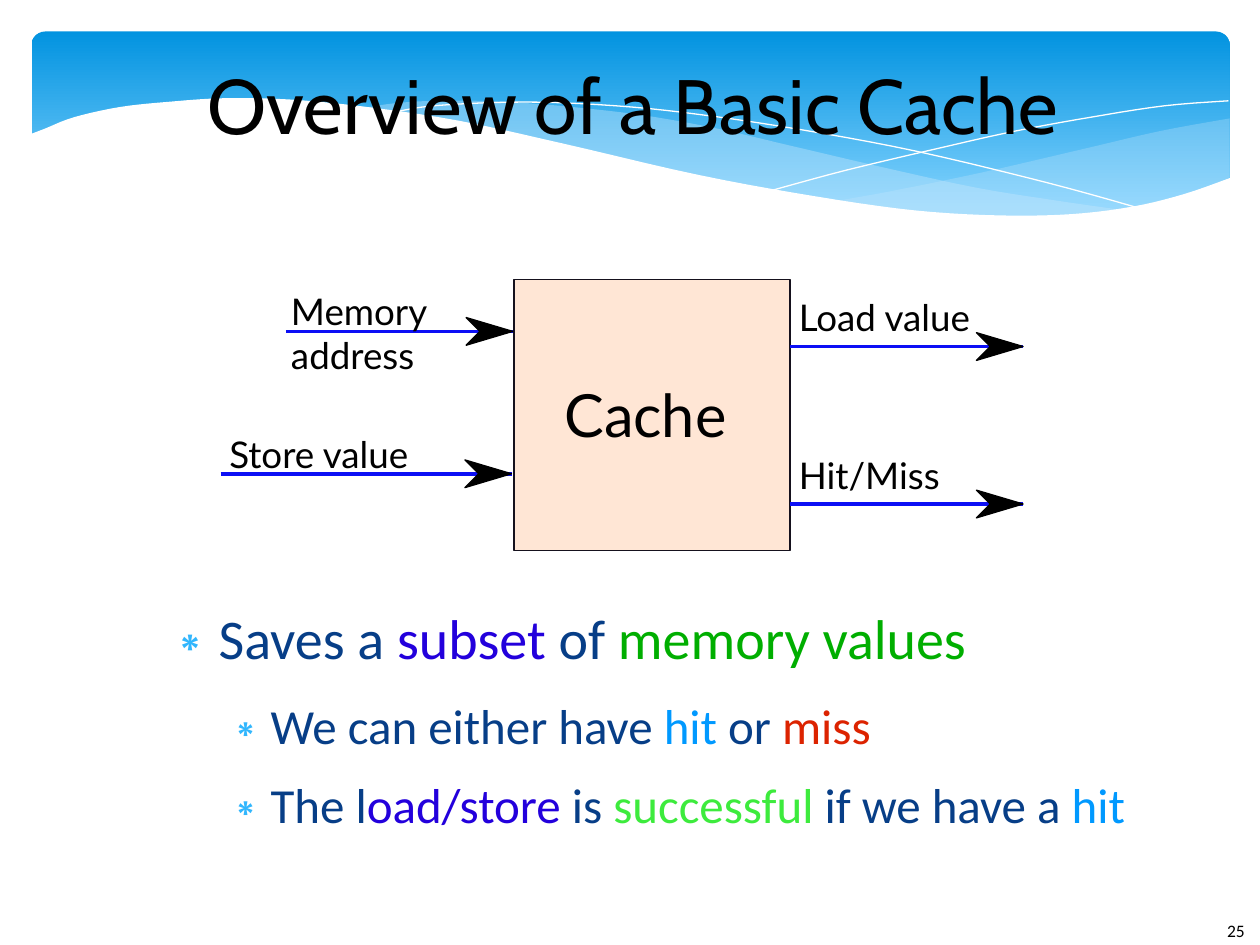
from lxml import etree
from pptx import Presentation
from pptx.dml.color import RGBColor
from pptx.enum.shapes import MSO_CONNECTOR, MSO_SHAPE
from pptx.enum.text import MSO_ANCHOR, MSO_AUTO_SIZE, PP_ALIGN
from pptx.oxml.ns import qn
from pptx.util import Cm, Pt

RECT, ROUND = MSO_SHAPE.RECTANGLE, MSO_SHAPE.ROUNDED_RECTANGLE
STRAIGHT = MSO_CONNECTOR.STRAIGHT
TOP, MIDDLE = MSO_ANCHOR.TOP, MSO_ANCHOR.MIDDLE
NO_FIT, GROW = MSO_AUTO_SIZE.NONE, MSO_AUTO_SIZE.SHAPE_TO_FIT_TEXT
CENTER, LEFT = PP_ALIGN.CENTER, PP_ALIGN.LEFT

THEME = {
    "title_font": "Cabin", "body_font": "Calibri", "label_font": "Lato",
    "title": 44, "body": (32, 28), "label": 21, "cache": 34, "number": 10,
    "black": "000000", "white": "FFFFFF", "text": "073E87", "bullet": "31B6FD",
    "violet": "2300DC", "green": "00AE00", "lime": "3DEB3D", "sky": "0099FF",
    "red": "DC2300", "box": "FFE6D5", "edge": "15111D", "wire": "0C0FF5",
    "banner": ("0293E0", "83D3FE"), "wave": "C6E7FC",
}

# Content; places are in inches, turned into Cm by u()
TITLE, TITLE_AT = "Overview of a Basic Cache", (0.97, 0.31, 8.11, 1.02)
BODY_AT = (1.17, 4.79, 8.11, 1.88)
BULLETS = [  # level, runs of (text, colour)
    (0, [("Saves a ", "text"), ("subset", "violet"), (" of ", "text"),
         ("memory values", "green")]),
    (1, [("We can either have ", "text"), ("hit", "sky"), (" or ", "text"),
         ("miss", "red")]),
    (1, [("The l", "text"), ("oad/store ", "violet"), ("is ", "text"),
         ("successful", "lime"), (" if we have a ", "text"), ("hit", "sky")]),
]
BULLET_FORMAT = [(0.47, 14.1), (0.94, 11.4)]  # margin, points after
HANGING = 0.35
CACHE_AT = (4.08, 2.22, 2.19, 2.15)
ARROWS = [(2.27, 4.07, 2.63), (1.75, 4.06, 3.76),  # from x, to x, y
          (6.27, 8.12, 2.75), (6.27, 8.12, 4.0)]
HEAD = [(-0.26, 0), (-0.37, 0.11), (0, 0), (-0.37, -0.11)]
LABELS = [  # text, size, place
    ("Memory", "label", (2.31, 2.29, 1.17, 0.39)),
    ("address", "label", (2.31, 2.64, 1.16, 0.39)),
    ("Store value", "label", (1.82, 3.43, 1.59, 0.39)),
    ("Load value", "label", (6.34, 2.34, 1.55, 0.39)),
    ("Cache", "cache", (4.48, 3.0, 1.56, 0.63)),
    ("Hit/Miss", "label", (6.34, 3.59, 1.15, 0.39)),
]
NUMBER, NUMBER_AT = "25", (9.64, 7.25, 0.61, 0.4)

# Banner waves: each is a chain of smooth strands given by their knots
BANNER_AT = (0.25, 0.25, 9.51, 1.56)
WAVES = [  # strands, fill, opacity in percent
    ([[(9.76, 0.94), (9.21, 1.04), (8.61, 1.18), (7.79, 1.37), (7.06, 1.52), (6.61, 1.6)],
      [(6.61, 1.6), (7.19, 1.67), (7.69, 1.71), (8.14, 1.72), (8.63, 1.7),
       (9.05, 1.63), (9.42, 1.54), (9.76, 1.41)]], "wave", 29),
    ([[(8.93, 1.67), (8.37, 1.59), (7.75, 1.49), (7.06, 1.34), (6.29, 1.16),
       (5.69, 1.02), (5.14, 0.92), (4.65, 0.86), (4.2, 0.82), (3.8, 0.8),
       (3.44, 0.8), (3.13, 0.82), (2.86, 0.86)],
      [(2.86, 0.86), (3.42, 0.94), (4.04, 1.06), (4.91, 1.26), (5.66, 1.43),
       (6.34, 1.56), (6.95, 1.65), (7.48, 1.7), (7.96, 1.73), (8.38, 1.72),
       (8.93, 1.67)]], "wave", 40),
    ([[(3.09, 0.9), (3.44, 0.84), (4.16, 0.81), (4.89, 0.84), (5.56, 0.91),
       (6.36, 1.03), (7.27, 1.2), (8.31, 1.45), (9.07, 1.66)]], None, None),
    ([[(6.13, 1.51), (6.72, 1.35), (7.48, 1.17), (8.06, 1.04), (8.66, 0.93),
       (9.24, 0.84), (9.75, 0.8)]], None, None),
    ([[(9.77, 1.41), (9.4, 1.54), (8.99, 1.64), (8.5, 1.7), (7.93, 1.71),
       (7.26, 1.67), (6.48, 1.56), (5.55, 1.39), (4.47, 1.14), (3.65, 0.96),
       (2.92, 0.85), (2.3, 0.79), (1.77, 0.78), (1.32, 0.81), (0.95, 0.85),
       (0.59, 0.93), (0.36, 1.02), (0.23, 1.07)],
      [(0.23, 2.24), (9.77, 2.24)]], "white", 100),
]


def u(inches):
    return Cm(inches * 2.54)


def box(at):
    return [u(v) for v in at]


def rgb(name):
    return RGBColor.from_string(THEME.get(name, name))


def smooth(knots, steps=5):
    """Points of a Catmull-Rom curve through the knots."""
    if len(knots) < 3:
        return knots
    ends = [knots[0]] + knots + [knots[-1]]
    points = [knots[0]]
    for a, b, c, d in zip(ends, ends[1:], ends[2:], ends[3:]):
        for i in range(1, steps + 1):
            t = i / steps
            points.append(tuple(
                q + t * (r - p + t * (2 * p - 5 * q + 4 * r - s
                                      + t * (3 * q - p - 3 * r + s))) / 2
                for p, q, r, s in zip(a, b, c, d)))
    return points


def paint(sp, fill=None, line=None):
    sp.shadow.inherit = False
    if fill:
        sp.fill.solid()
        sp.fill.fore_color.rgb = rgb(fill)
    else:
        sp.fill.background()
    if line:
        sp.line.color.rgb = rgb(line)
        sp.line.width = Pt(0)
    else:
        sp.line.fill.background()


def outline(s, points, fill, line):
    pts = [(u(x), u(y)) for x, y in points]
    builder = s.shapes.build_freeform(*pts[0], scale=1.0)
    builder.add_line_segments(pts[1:], close=bool(fill))
    sp = builder.convert_to_shape()
    paint(sp, fill, line)
    return sp


def add_run(p, text, size, font, color):
    r = p.add_run()
    r.text = text
    r.font.size, r.font.name = Pt(size), THEME[font]
    r.font.color.rgb = rgb(color)


def frame(sp, anchor=TOP, fit=NO_FIT, wrap=True, inset=0):
    tf = sp.text_frame
    tf.margin_left = tf.margin_right = tf.margin_top = tf.margin_bottom = u(inset)
    tf.vertical_anchor, tf.auto_size, tf.word_wrap = anchor, fit, wrap
    return tf


def place(s, sp, at):
    sp.left, sp.top, sp.width, sp.height = box(at)
    s.shapes._spTree.append(sp._element)  # in front of the banner


def bullet(p, margin):
    pPr = p._p.get_or_add_pPr()
    pPr.set("marL", str(u(margin)))
    pPr.set("indent", str(-u(HANGING)))
    clr = etree.SubElement(pPr, qn("a:buClr"))
    etree.SubElement(clr, qn("a:srgbClr")).set("val", THEME["bullet"])
    etree.SubElement(pPr, qn("a:buChar")).set("char", "∗")


prs = Presentation()
prs.slide_width, prs.slide_height = u(10), u(7.5)
s = prs.slides.add_slide(prs.slide_layouts[1])

# Banner
sp = s.shapes.add_shape(ROUND, *box(BANNER_AT))
sp.adjustments[0] = 0.07
paint(sp)
sp.fill.gradient()
sp.fill.gradient_angle = 270
for stop, color, pos in zip(sp.fill.gradient_stops, THEME["banner"], (0, 0.9)):
    stop.color.rgb, stop.position = rgb(color), pos
for strands, fill, opacity in WAVES:
    points = [pt for knots in strands for pt in smooth(knots)]
    sp = outline(s, points, fill, None if fill else "white")
    if fill:
        clr = sp._element.spPr.find(".//" + qn("a:srgbClr"))
        etree.SubElement(clr, qn("a:alpha")).set("val", str(opacity * 1000))

# Slide number
tf = frame(s.shapes.add_textbox(*box(NUMBER_AT)), inset=0.1)
tf.margin_top = tf.margin_bottom = u(0.05)
add_run(tf.paragraphs[0], NUMBER, THEME["number"], "body_font", "black")

# Title
place(s, s.shapes.title, TITLE_AT)
p = frame(s.shapes.title, MIDDLE).paragraphs[0]
p.alignment = CENTER
add_run(p, TITLE, THEME["title"], "title_font", "black")

# Bullet list
body = s.placeholders[1]
place(s, body, BODY_AT)
tf = frame(body)
for i, (level, runs) in enumerate(BULLETS):
    p = tf.add_paragraph() if i else tf.paragraphs[0]
    margin, after = BULLET_FORMAT[level]
    p.level, p.alignment = level, LEFT
    bullet(p, margin)
    p.space_before, p.space_after = Pt(0), Pt(after)
    for text, color in runs:
        add_run(p, text, THEME["body"][level], "body_font", color)

# Cache diagram
paint(s.shapes.add_shape(RECT, *box(CACHE_AT)), "box", "edge")
for x1, x2, y in ARROWS:
    wire = s.shapes.add_connector(STRAIGHT, u(x1), u(y), u(x2), u(y))
    wire.line.color.rgb, wire.line.width = rgb("wire"), Pt(0)
    etree.SubElement(wire._element.spPr, qn("a:effectLst"))
    outline(s, [(x2 + dx, y + dy) for dx, dy in HEAD], "black", "black")
for text, size, at in LABELS:
    tf = frame(s.shapes.add_textbox(*box(at)), fit=GROW, wrap=False)
    add_run(tf.paragraphs[0], text, THEME[size], "label_font", "black")

prs.save("out.pptx")
